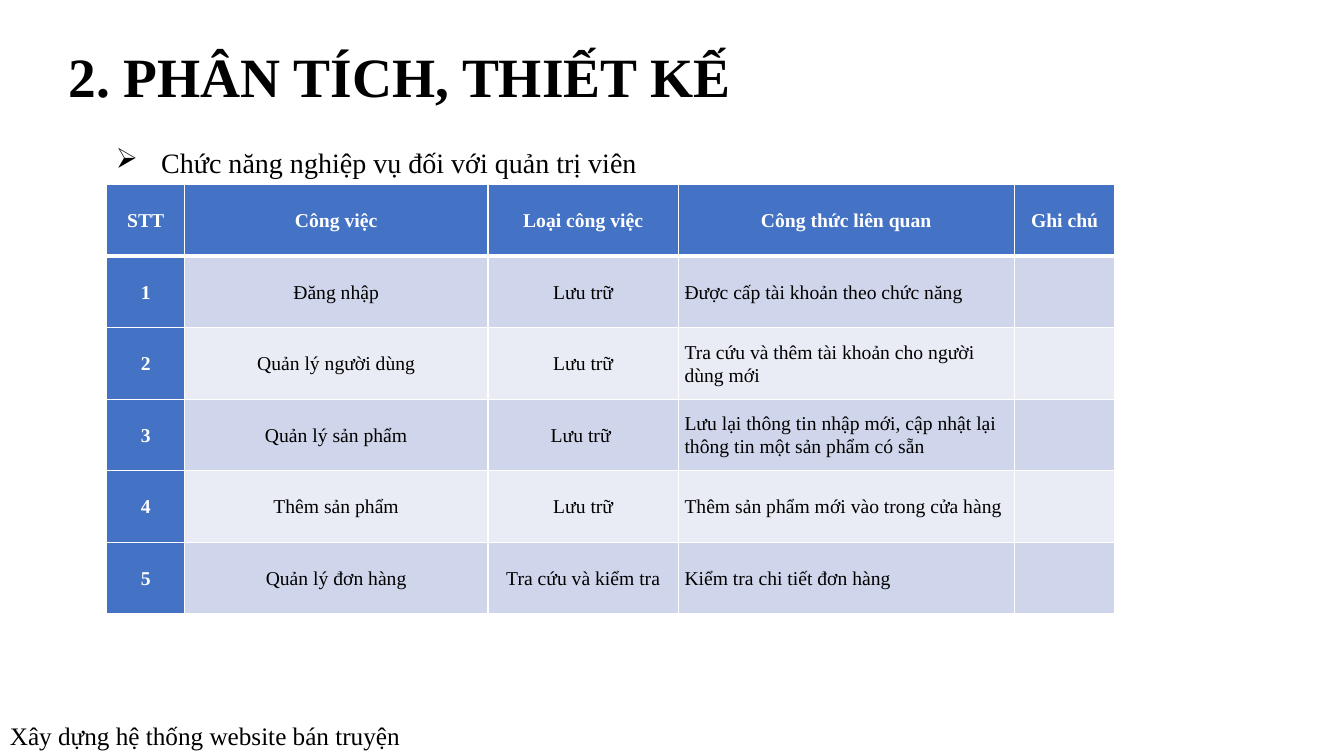
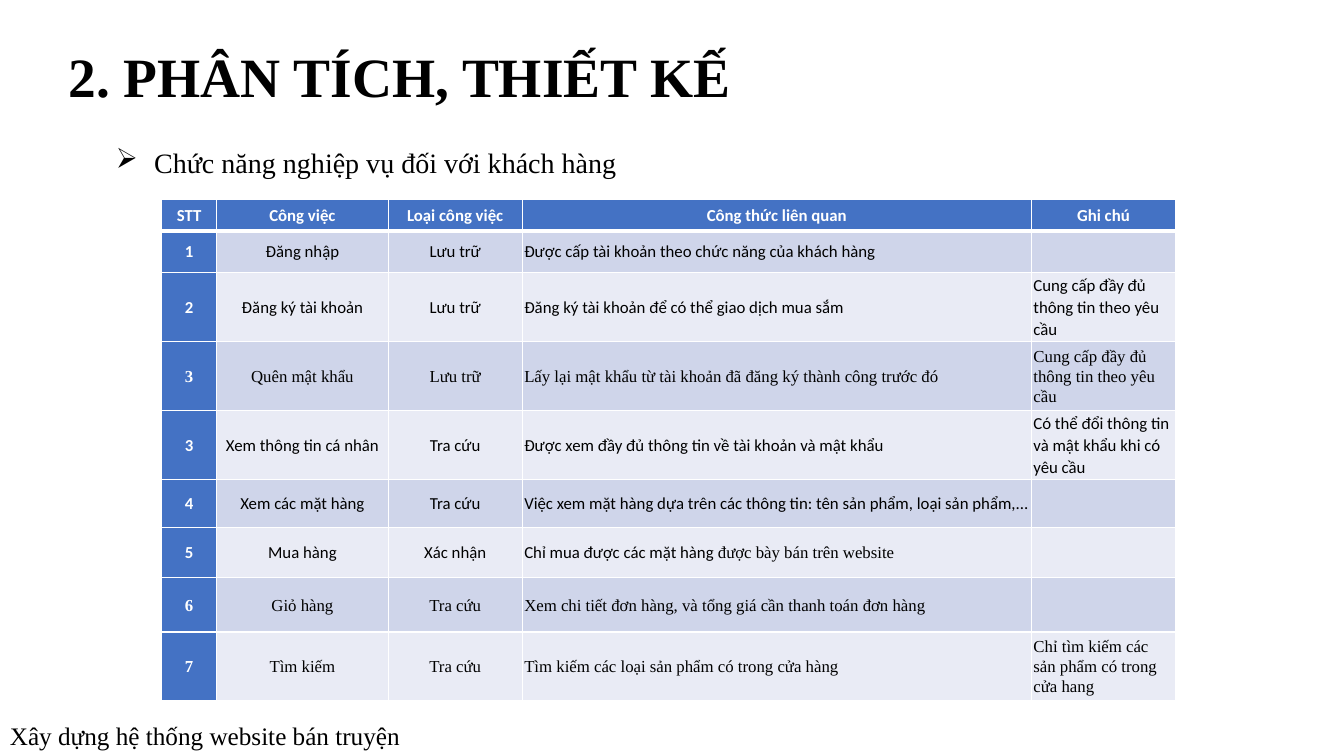
"""Build two slides listing the business functions of a comic shop website."""
from dataclasses import dataclass
from typing import Any

from lxml.etree import SubElement
from pptx import Presentation
from pptx.dml.color import RGBColor
from pptx.enum.text import MSO_ANCHOR, PP_ALIGN
from pptx.oxml.ns import qn
from pptx.slide import Slide
from pptx.util import Inches, Pt

HEX = {"ink": "000000", "white": "FFFFFF", "head": "4472C4", "odd": "CFD5EA", "even": "E9EBF5"}
SERIF, SANS = "Times New Roman", "Calibri"
TITLE = {"name": SERIF, "size": Pt(39.6), "bold": True}
LEAD = {"name": SERIF, "size": Pt(20)}
FOOT = {"name": SERIF, "size": Pt(18)}
CELL = {"line_spacing": 1.07, "space_after": Pt(8)}
HEADS = ("STT", "Công việc", "Loại công việc", "Công thức liên quan", "Ghi chú")


@dataclass(frozen=True)
class Row:
    cells: tuple[str, ...]
    high: float = 0.71
    face: str = SERIF


@dataclass(frozen=True)
class Grid:
    left: float
    top: float
    cols: tuple[float, ...]
    size: int
    inset: float
    rows: tuple[Row, ...]


@dataclass(frozen=True)
class Page:
    lead: str
    indent: float
    grid: Grid


STAFF = Grid(1.06, 1.83, (0.77, 3.01, 1.89, 3.33, 1), 14, 0.06, (
    Row(HEADS),
    Row(("1", "Đăng nhập", "Lưu trữ", "Được cấp tài khoản theo chức năng", "")),
    Row(("2", "Quản lý người dùng", "Lưu trữ", "Tra cứu và thêm tài khoản cho người dùng mới", "")),
    Row(("3", "Quản lý sản phẩm", "Lưu trữ ",
         "Lưu lại thông tin nhập mới, cập nhật lại thông tin một sản phẩm có sẵn", "")),
    Row(("4", "Thêm sản phẩm", "Lưu trữ", "Thêm sản phẩm mới vào trong cửa hàng", "")),
    Row(("5", "Quản lý đơn hàng", "Tra cứu và kiểm tra", "Kiểm tra chi tiết đơn hàng", "")),
))
GUEST = Grid(1.6, 1.98, (0.55, 1.7, 1.33, 5.05, 1.43), 12, 0.02, (
    Row(HEADS, 0.31, SANS),
    Row(("1", "Đăng nhập", "Lưu trữ", "Được cấp tài khoản theo chức năng của khách hàng", ""),
        0.41, SANS),
    Row(("2", "Đăng ký tài khoản", "Lưu trữ", "Đăng ký tài khoản để có thể giao dịch mua sắm",
         "Cung cấp đầy đủ thông tin theo yêu cầu"), 0.69, SANS),
    Row(("3", "Quên mật khẩu", "Lưu trữ",
         "Lấy lại mật khẩu từ tài khoản đã đăng ký thành công trước đó",
         "Cung cấp đầy đủ thông tin theo yêu cầu"), 0.68),
    Row(("3", "Xem thông tin cá nhân", "Tra cứu",
         "Được xem đầy đủ thông tin về tài khoản và mật khẩu",
         "Có thể đổi thông tin và mật khẩu khi có yêu cầu"), 0.69, SANS),
    Row(("4", "Xem các mặt hàng", "Tra cứu",
         "Việc xem mặt hàng dựa trên các thông tin: tên sản phẩm, loại sản phẩm,...", ""),
        0.47, SANS),
    Row(("5", "Mua hàng", "Xác nhận",
         "Chỉ mua được các mặt hàng |được bày bán trên website", ""), 0.5, SANS),
    Row(("6", "Giỏ hàng", "Tra cứu",
         "Xem chi tiết đơn hàng, và tổng giá cần thanh toán đơn hàng", ""), 0.54),
    Row(("7", "Tìm kiếm", "Tra cứu", "Tìm kiếm các loại sản phẩm có trong cửa hàng",
         "Chỉ tìm kiếm các sản phẩm có trong cửa hang"), 0.68),
))
PAGES = (
    Page("Chức năng nghiệp vụ đối với quản trị viên", 0.45, STAFF),
    Page("Chức năng nghiệp vụ đối với khách hàng", 0.38, GUEST),
)


def apply(item: Any, form: dict[str, Any]) -> None:
    for key, value in form.items():
        setattr(item, key, value)


def write(para: Any, text: str, form: dict[str, Any], tint: str = "ink") -> None:
    run = para.add_run()
    run.text = text
    apply(run.font, form)
    run.font.color.rgb = RGBColor.from_string(HEX[tint])


def label(slide: Slide, at: tuple[float, ...], text: str, form: dict[str, Any]) -> Any:
    frame = slide.shapes.add_textbox(*map(Inches, at)).text_frame
    frame.word_wrap = True
    write(frame.paragraphs[0], text, form)
    return frame


def bullet(para: Any, indent: float) -> None:
    props = para._p.get_or_add_pPr()
    props.set("marL", str(Inches(indent)))
    props.set("indent", str(-Inches(indent)))
    SubElement(props, qn("a:buChar")).set("char", "➢")


def border(cell: Any, widths: dict[str, int]) -> None:
    props = cell._tc.get_or_add_tcPr()
    for side, width in widths.items():
        line = SubElement(props, qn(f"a:ln{side}"), w=str(Pt(width)))
        fill = SubElement(line, qn("a:solidFill"))
        SubElement(fill, qn("a:srgbClr"), val=HEX["white"])


def fill_cell(cell: Any, grid: Grid, i: int, j: int) -> None:
    row, pad = grid.rows[i], Inches(grid.inset)
    head = i == 0 or j == 0
    border(cell, {"L": 1, "R": 1, "T": 3 if i == 1 else 1, "B": 3 if i == 0 else 1})
    cell.fill.solid()
    tone = "head" if head else "odd" if i % 2 else "even"
    cell.fill.fore_color.rgb = RGBColor.from_string(HEX[tone])
    sides = ("margin_left", "margin_right", "margin_top", "margin_bottom")
    apply(cell, dict.fromkeys(sides, pad) | {"vertical_anchor": MSO_ANCHOR.MIDDLE})
    if not row.cells[j]:
        return
    para = cell.text_frame.paragraphs[0]
    apply(para, CELL | {"alignment": PP_ALIGN.CENTER if i == 0 or j < 3 else PP_ALIGN.LEFT})
    for part, face in zip(row.cells[j].split("|"), (row.face, SERIF)):
        form = {"name": face, "size": Pt(grid.size), "bold": head}
        write(para, part, form, "white" if head else "ink")


def draw_grid(slide: Slide, grid: Grid) -> None:
    size = sum(grid.cols), sum(row.high for row in grid.rows)
    table = slide.shapes.add_table(
        len(grid.rows), len(grid.cols), *map(Inches, (grid.left, grid.top, *size))).table
    table.horz_banding = False
    for col, width in zip(table.columns, grid.cols):
        col.width = Inches(width)
    for i, row in enumerate(grid.rows):
        table.rows[i].height = Inches(row.high)
        for j in range(len(grid.cols)):
            fill_cell(table.cell(i, j), grid, i, j)


def draw_page(slide: Slide, page: Page) -> None:
    lead = label(slide, (1.05, 1.39, 5.4, 0.44), page.lead, LEAD)
    bullet(lead.paragraphs[0], page.indent)
    draw_grid(slide, page.grid)
    title = label(slide, (0.58, 0.36, 7.03, 0.85), "2. PHÂN TÍCH, THIẾT KẾ", TITLE)
    title.vertical_anchor = MSO_ANCHOR.MIDDLE
    title.paragraphs[0].line_spacing = 0.9
    label(slide, (0, 7.1, 6.17, 0.4), "Xây dựng hệ thống website bán truyện", FOOT)


def main() -> None:
    deck = Presentation()
    apply(deck, {"slide_width": Inches(13.33), "slide_height": Inches(7.5)})
    for page in PAGES:
        draw_page(deck.slides.add_slide(deck.slide_layouts[6]), page)
    deck.save("out.pptx")


if __name__ == "__main__":
    main()
